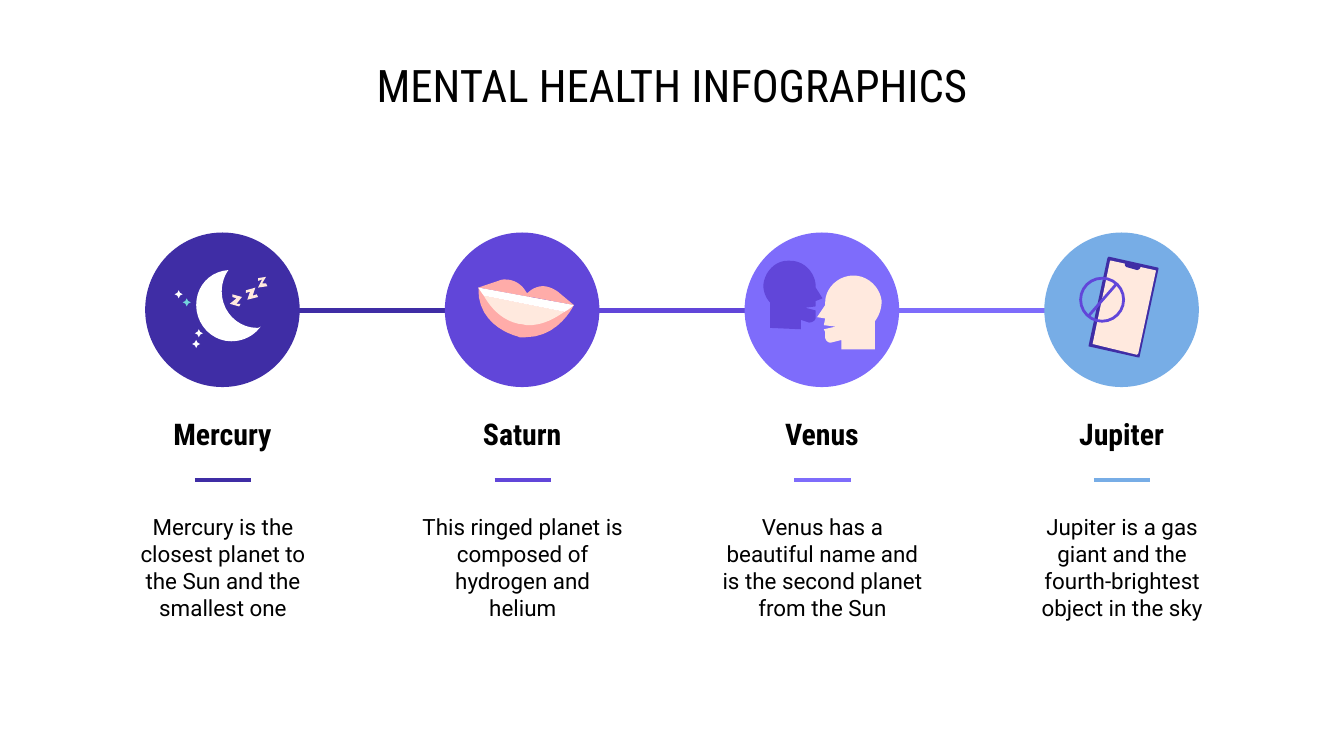
from dataclasses import dataclass

from lxml import etree
from pptx import Presentation
from pptx.dml.color import RGBColor
from pptx.enum.shapes import MSO_CONNECTOR, MSO_SHAPE
from pptx.enum.text import MSO_ANCHOR, PP_ALIGN
from pptx.oxml.ns import qn
from pptx.util import Emu, Pt

STRAIGHT = MSO_CONNECTOR.STRAIGHT
OVAL = MSO_SHAPE.OVAL
CENTER = PP_ALIGN.CENTER
MIDDLE = MSO_ANCHOR.MIDDLE

PX = 9144  # 100 px to the inch


@dataclass(frozen=True)
class Theme:
    indigo: str = "3F2DA5"
    violet: str = "6146D9"
    lilac: str = "7E6CFB"
    sky: str = "77ADE6"
    teal: str = "74D3DC"
    cream: str = "FFE9DE"
    pink: str = "FFACA9"
    white: str = "FFFFFF"
    black: str = "000000"
    head_font: str = "Roboto Condensed"
    body_font: str = "Roboto"
    title_size: int = 24
    name_size: int = 16
    body_size: int = 12
    rule_width: float = 2.25
    sign_width: float = 1.5


T = Theme()
STEP = 223  # distance between columns
DISC_X, DISC_Y, DISC = 108, 173, 115

PLANETS = [
    ("Mercury", "Mercury is the closest planet to the Sun and the smallest one", T.indigo),
    ("Saturn", "This ringed planet is composed of hydrogen and helium", T.violet),
    ("Venus", "Venus has a beautiful name and is the second planet from the Sun", T.lilac),
    ("Jupiter", "Jupiter is a gas giant and the fourth-brightest object in the sky", T.sky),
]

# Outlines: a pair is a straight step, six numbers are a cubic curve
STAR = [(3, 0), (2, 2), (0, 3), (2, 4), (3, 6), (4, 4), (6, 3), (4, 2)]
STARS = [(136, 222, T.teal), (130, 216, T.white), (143, 253, T.white), (145, 245, T.white)]

MOON = [
    (T.white, [(170, 201), (156, 202, 146, 213, 146, 227), (146, 242, 158, 254, 172, 254),
               (181, 254, 189, 250, 194, 243), (193, 244, 192, 244, 191, 244),
               (177, 244, 165, 232, 165, 217), (165, 211, 167, 205, 170, 201)]),
    (T.cream, [(173, 219), (173, 221), (176, 222), (171, 226), (178, 228), (179, 226),
               (176, 226), (180, 221)]),
    (T.cream, [(190, 214), (183, 216), (183, 218), (186, 217), (184, 223), (192, 221),
               (191, 219), (188, 220)]),
    (T.cream, [(198, 206), (192, 207), (192, 209), (195, 208), (192, 214), (199, 213),
               (198, 211), (195, 211)]),
]
MOUTH = [
    (T.pink, [(356, 214), (355, 239, 377, 248, 384, 250), (385, 250, 386, 251, 387, 251),
              (389, 251, 390, 251, 391, 251), (416, 251, 427, 227, 427, 227)]),
    (T.pink, [(376, 208), (375, 208, 373, 208, 371, 209), (356, 214), (394, 221), (390, 215),
              (387, 211, 382, 208, 376, 208)]),
    (T.pink, [(404, 213), (401, 213, 398, 214, 395, 216), (390, 220), (427, 227), (415, 217),
              (412, 215, 408, 213, 404, 213)]),
    (T.cream, [(360, 220), (364, 227, 372, 238, 386, 241), (389, 241, 391, 242, 393, 242),
               (405, 242, 414, 236, 420, 232)]),
    (T.white, [(356, 214), (356, 214, 357, 216, 360, 220), (420, 232),
               (424, 230, 427, 227, 427, 227)]),
]
HEADS = [
    (T.cream, [(635, 205), (624, 205, 614, 214, 614, 225), (614, 227), (608, 236), (614, 237),
               (613, 242), (622, 243), (613, 245), (614, 247), (614, 251),
               (614, 253, 616, 255, 618, 255), (626, 253), (626, 260), (651, 260), (651, 239),
               (654, 235, 656, 230, 656, 224), (655, 214, 646, 205, 635, 205)]),
    (T.violet, [(588, 194), (587, 194, 587, 194, 586, 194), (577, 194, 569, 202, 568, 212),
                (568, 217, 570, 222, 573, 225), (573, 244), (596, 245), (596, 238), (602, 240),
                (605, 240, 607, 238, 607, 236), (607, 231), (599, 229), (607, 228), (607, 224),
                (612, 222), (607, 214), (607, 212), (606, 202, 598, 194, 588, 194)]),
]
PHONE = [
    (T.indigo, [(825, 191), (825, 191, 824, 192, 824, 192), (810, 257),
                (810, 258, 810, 258, 811, 258), (847, 266), (848, 266, 848, 266, 848, 265),
                (862, 200), (862, 200, 862, 199, 861, 199)]),
    (T.cream, [(826, 194), (813, 256), (846, 264), (846, 264, 847, 263, 847, 263), (860, 202),
               (860, 201, 860, 201, 859, 201), (827, 194)]),
    (T.indigo, [(837, 195), (837, 197), (837, 198, 838, 199, 839, 199), (846, 201),
                (847, 201, 848, 200, 848, 200), (849, 198)]),
]


def px(n):
    return Emu(n * PX)


def rgb(color):
    return RGBColor.from_string(color)


def add_text(shapes, box, text, *, size, font, bold=False):
    tb = shapes.add_textbox(*map(px, box))
    tf = tb.text_frame
    tf.word_wrap = True
    tf.vertical_anchor = MIDDLE
    tf.margin_left = tf.margin_right = tf.margin_top = tf.margin_bottom = px(10)
    p = tf.paragraphs[0]
    p.alignment = CENTER
    r = p.add_run()
    r.text = text
    r.font.size, r.font.name, r.font.bold = Pt(size), font, bold
    r.font.color.rgb = rgb(T.black)


def add_line(shapes, x1, y1, x2, y2, color, width):
    ln = shapes.add_connector(STRAIGHT, px(x1), px(y1), px(x2), px(y2))
    ln.line.color.rgb = rgb(color)
    ln.line.width = Pt(width)
    etree.SubElement(ln._element.spPr, qn("a:effectLst"))


def paint(sp, color):
    sp.shadow.inherit = False
    sp.fill.solid()
    sp.fill.fore_color.rgb = rgb(color)
    sp.line.fill.background()


def curve_points(start, curve, steps=10):
    """Points along a cubic curve, without its start."""
    knots = [start, curve[:2], curve[2:4], curve[4:]]
    for i in range(1, steps + 1):
        t = i / steps
        weights = ((1 - t) ** 3, 3 * t * (1 - t) ** 2, 3 * t * t * (1 - t), t ** 3)
        yield tuple(sum(w * k[axis] for w, k in zip(weights, knots)) for axis in (0, 1))


def add_outline(shapes, outline, color, dx=0, dy=0):
    points = [outline[0]]
    for step in outline[1:]:
        points.extend([step] if len(step) == 2 else curve_points(points[-1], step))
    emu = [((x + dx) * PX, (y + dy) * PX) for x, y in points]
    fb = shapes.build_freeform(*emu[0], scale=1.0)
    fb.add_line_segments(emu[1:], close=True)
    paint(fb.convert_to_shape(), color)


def add_icon(shapes, parts):
    icon = shapes.add_group_shape().shapes
    for color, outline in parts:
        add_outline(icon, outline, color)
    return icon


def add_planet(shapes, i, name, text, color):
    dx = i * STEP
    if i < len(PLANETS) - 1:
        add_line(shapes, 222 + dx, 231, 333 + dx, 231, color, T.rule_width)
    disc = shapes.add_shape(OVAL, px(DISC_X + dx), px(DISC_Y), px(DISC), px(DISC))
    paint(disc, color)
    add_line(shapes, 145 + dx, 357, 187 + dx, 357, color, T.rule_width)
    add_text(shapes, (111 + dx, 310, 109, 26), name,
             size=T.name_size, font=T.head_font, bold=True)
    add_text(shapes, (81 + dx, 378, 170, 88), text, size=T.body_size, font=T.body_font)


def add_no_sign(shapes):
    ring = shapes.add_shape(OVAL, px(804), px(207), px(32), px(32))
    ring.shadow.inherit = False
    ring.fill.background()
    ring.line.color.rgb = rgb(T.violet)
    ring.line.width = Pt(T.sign_width)
    add_line(shapes, 831, 211, 810, 235, T.violet, T.sign_width)


def main():
    prs = Presentation()
    prs.slide_width = px(1000)
    prs.slide_height = Emu(prs.slide_width * 9 // 16)  # widescreen
    s = prs.slides.add_slide(prs.slide_layouts[6])
    shapes = s.shapes

    # Title
    add_text(shapes, (50, 45, 900, 36), "MENTAL HEALTH INFOGRAPHICS",
             size=T.title_size, font=T.head_font)

    # Columns: each connector runs behind its disc
    for i, planet in enumerate(PLANETS):
        add_planet(shapes, i, *planet)

    # Icons
    night = add_icon(shapes, MOON)
    for x, y, color in STARS:
        add_outline(night, STAR, color, x, y)
    add_icon(shapes, MOUTH)
    add_icon(shapes, HEADS)
    add_no_sign(add_icon(shapes, PHONE))

    prs.save("out.pptx")


if __name__ == "__main__":
    main()
